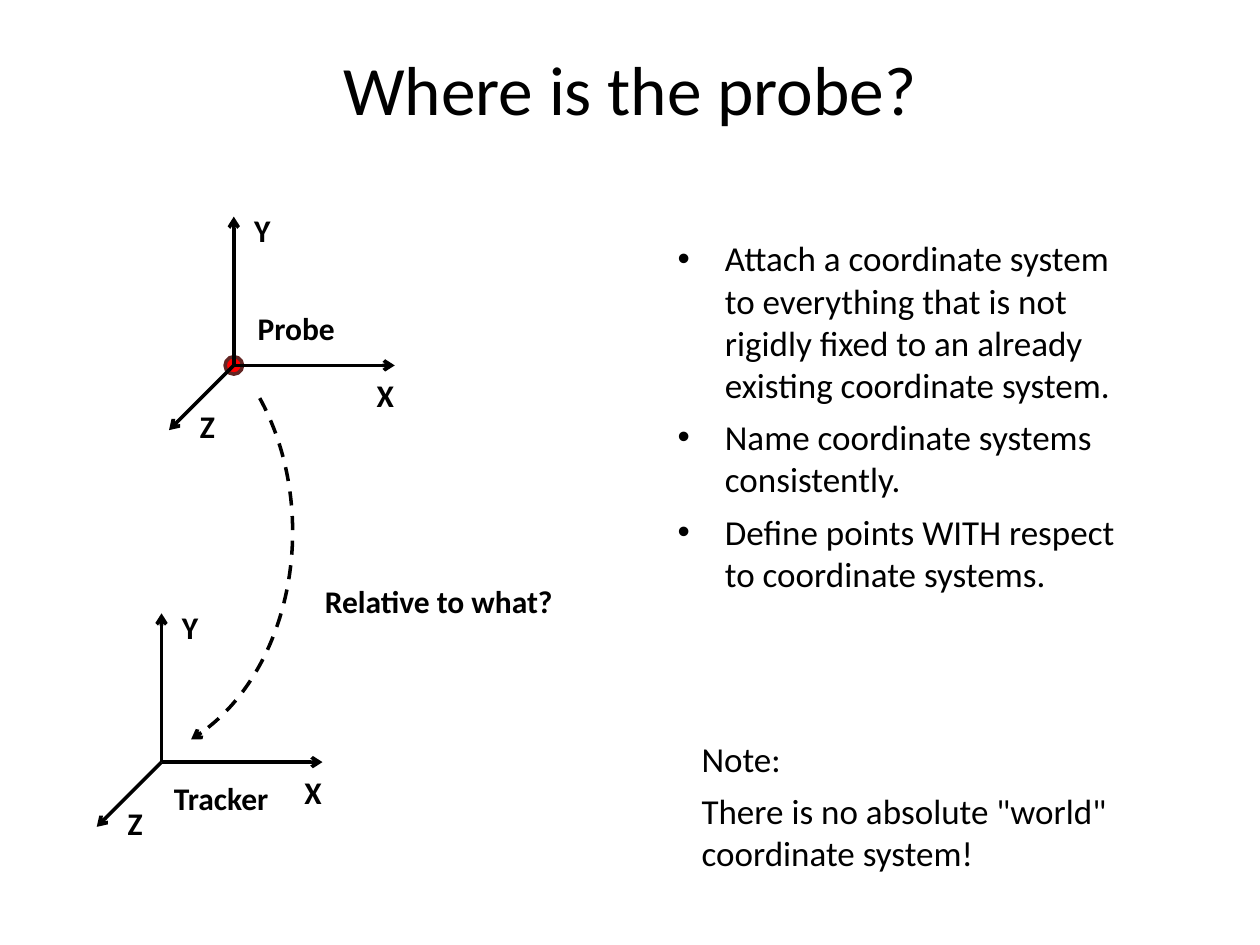
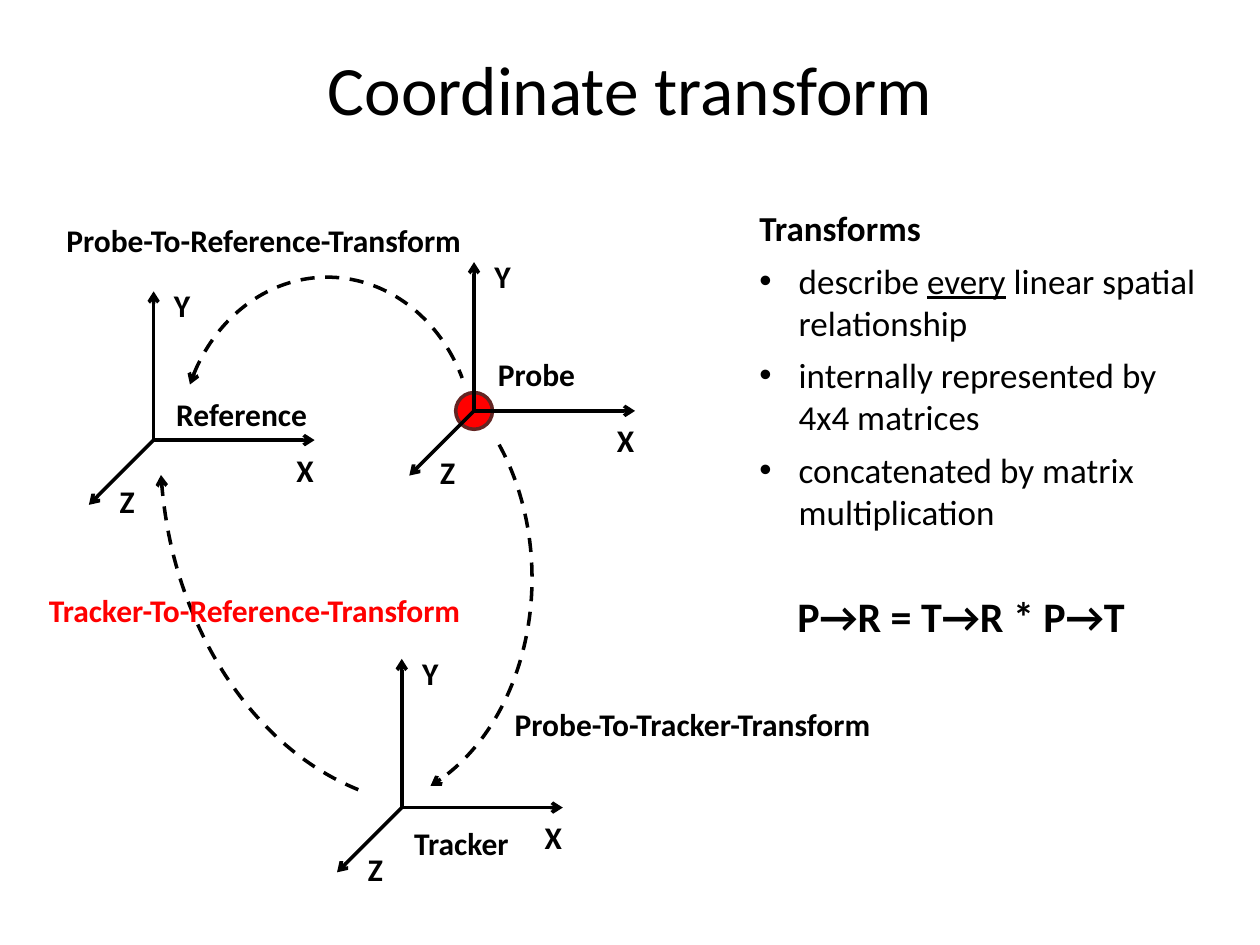
from dataclasses import dataclass

from lxml import etree
from pptx import Presentation
from pptx.dml.color import RGBColor
from pptx.enum.dml import MSO_LINE
from pptx.enum.shapes import MSO_CONNECTOR, MSO_SHAPE
from pptx.enum.text import MSO_ANCHOR, MSO_AUTO_SIZE, PP_ALIGN
from pptx.oxml.ns import qn
from pptx.util import Pt

DASH = MSO_LINE.DASH
STRAIGHT = MSO_CONNECTOR.STRAIGHT
ARC, OVAL = MSO_SHAPE.ARC, MSO_SHAPE.OVAL
MIDDLE, TOP = MSO_ANCHOR.MIDDLE, MSO_ANCHOR.TOP
NO_AUTOFIT = MSO_AUTO_SIZE.NONE
CENTER, LEFT = PP_ALIGN.CENTER, PP_ALIGN.LEFT
TITLE_AND_CONTENT = 1


@dataclass(frozen=True)
class Theme:
    font: str = "Calibri"
    ink: RGBColor = RGBColor(0x00, 0x00, 0x00)
    accent: RGBColor = RGBColor(0xFF, 0x00, 0x00)
    dot_outline: RGBColor = RGBColor(0x63, 0x25, 0x23)
    title_size: float = 39.6
    formula_size: float = 24
    body_size: float = 20
    label_size: float = 18
    line_width: float = 2
    paragraph_gap: float = 6


THEME = Theme()

# Axis name, arrow tip and label corner, all measured from the origin
AXES = [
    ("Y", (0, -85), (4.5, -91.5)),
    ("X", (92, 0), (74.5, 2.5)),
    ("Z", (-37, 37), (-26.5, 20.5)),
]
AXIS_LABEL_WIDTH = 24
PROBE_LABEL_OFFSET = (6.5, -35.5)
TRACKER_LABEL_OFFSET = (0, 6)
PROBE_LABEL_WIDTH, TRACKER_LABEL_WIDTH = 59, 69
PROBE_TO_TRACKER_ANGLES = (316.97, 70.31)


def points(*lengths):
    return [Pt(length) for length in lengths]


def shifted(origin, offset):
    return origin[0] + offset[0], origin[1] + offset[1]


def add_run(paragraph, text, size, color=THEME.ink, bold=False, underline=False):
    run = paragraph.add_run()
    run.text = text
    font = run.font
    font.name, font.size, font.bold = THEME.font, Pt(size), bold
    font.color.rgb = color
    if underline:
        font.underline = True


def set_bullet(paragraph, indent):
    """Hang a bullet by indent points, or clear the inherited one when indent is 0."""
    properties = paragraph._p.get_or_add_pPr()
    properties.set("marL", str(Pt(indent)))
    properties.set("indent", str(-Pt(indent)))
    if indent:
        etree.SubElement(properties, qn("a:buChar")).set("char", "•")
    else:
        etree.SubElement(properties, qn("a:buNone"))


def fill_paragraphs(frame, paragraphs):
    """Each paragraph is (bullet indent, runs); each run is (text, font options)."""
    frame.word_wrap = True
    frame.auto_size = NO_AUTOFIT
    frame.vertical_anchor = TOP
    for index, (indent, runs) in enumerate(paragraphs):
        paragraph = frame.add_paragraph() if index else frame.paragraphs[0]
        set_bullet(paragraph, indent)
        paragraph.alignment = LEFT
        paragraph.space_before = Pt(THEME.paragraph_gap if index else 0)
        for text, options in runs:
            add_run(paragraph, text, THEME.body_size, **options)


def place(placeholder, *box):
    (placeholder.left, placeholder.top,
     placeholder.width, placeholder.height) = points(*box)


def add_titled_slide(deck, title):
    slide = deck.slides.add_slide(deck.slide_layouts[TITLE_AND_CONTENT])
    heading = slide.shapes.title
    place(heading, 36, 21.6, 648, 57)
    frame = heading.text_frame
    frame.auto_size = NO_AUTOFIT
    frame.vertical_anchor = MIDDLE
    frame.paragraphs[0].alignment = CENTER
    add_run(frame.paragraphs[0], title, THEME.title_size)
    return slide


def add_body(slide, box, paragraphs):
    body = slide.placeholders[1]
    place(body, *box)
    fill_paragraphs(body.text_frame, paragraphs)


def add_label(shapes, text, corner, width, color=THEME.ink,
              size=THEME.label_size, height=29):
    label = shapes.add_textbox(*points(*corner, width, height))
    label.text_frame.word_wrap = False
    add_run(label.text_frame.paragraphs[0], text, size, color, bold=True)


def style_arrow(arrow, end, dashed=False):
    """Draw the line in ink with an open arrowhead at end (headEnd or tailEnd)."""
    arrow.line.color.rgb = THEME.ink
    arrow.line.width = Pt(THEME.line_width)
    if dashed:
        arrow.line.dash_style = DASH
    outline = arrow._element.spPr.find(qn("a:ln"))
    etree.SubElement(outline, qn(f"a:{end}")).set("type", "arrow")


def add_axes(slide, origin):
    axes = slide.shapes.add_group_shape().shapes
    for name, tip, label_corner in AXES:
        axis = axes.add_connector(STRAIGHT, *points(*origin, *shifted(origin, tip)))
        style_arrow(axis, "tailEnd")
        etree.SubElement(axis._element.spPr, qn("a:effectLst"))
        add_label(axes, name, shifted(origin, label_corner), AXIS_LABEL_WIDTH)


def add_dot(slide, center, diameter):
    corner = shifted(center, (-diameter / 2, -diameter / 2))
    dot = slide.shapes.add_shape(OVAL, *points(*corner, diameter, diameter))
    dot.shadow.inherit = False
    dot.fill.solid()
    dot.fill.fore_color.rgb = THEME.accent
    dot.line.color.rgb = THEME.dot_outline
    dot.line.width = Pt(THEME.line_width)


def add_probe(slide, origin, dot_diameter):
    add_dot(slide, origin, dot_diameter)
    add_axes(slide, origin)
    add_label(slide.shapes, "Probe", shifted(origin, PROBE_LABEL_OFFSET),
              PROBE_LABEL_WIDTH)


def add_tracker(slide, origin):
    add_axes(slide, origin)
    add_label(slide.shapes, "Tracker", shifted(origin, TRACKER_LABEL_OFFSET),
              TRACKER_LABEL_WIDTH)


def add_transform_arc(slide, box, angles, end="tailEnd"):
    """Draw a dashed arc of the ellipse in box, clockwise between angles in degrees."""
    arc = slide.shapes.add_shape(ARC, *points(*box))
    for index, angle in enumerate(angles):
        arc.adjustments[index] = angle * 0.6  # 60000 units a degree, stored per 100000
    arc.shadow.inherit = False
    arc.fill.background()
    style_arrow(arc, end, dashed=True)


def build_probe_slide(deck):
    slide = add_titled_slide(deck, "Where is the probe?")
    add_tracker(slide, (92.3, 435.5))
    add_probe(slide, (133.6, 208.8), 10)
    add_transform_arc(slide, (-33.8, 172.8, 201, 262), PROBE_TO_TRACKER_ANGLES)
    add_label(slide.shapes, "Relative to what?", (178.5, 329), 146)
    add_body(slide, (380, 131.8, 267, 213), [
        (27, [("Attach a coordinate system to everything that is not rigidly "
               "fixed to an already existing coordinate system.", {})]),
        (27, [("Name coordinate systems consistently.", {})]),
        (27, [("Define points WITH respect to coordinate systems.", {})]),
    ])
    note = slide.shapes.add_textbox(*points(393.8, 417.6, 267, 85.7))
    fill_paragraphs(note.text_frame, [
        (0, [("Note:", {})]),
        (0, [('There is no absolute "world" coordinate system!', {})]),
    ])


def build_transform_slide(deck):
    slide = add_titled_slide(deck, "Coordinate transform")
    add_axes(slide, (87.8, 251.5))
    add_label(slide.shapes, "Reference", (93.6, 222), 90)
    add_tracker(slide, (229.6, 461.5))
    add_probe(slide, (270.9, 234.8), 21)

    add_transform_arc(slide, (91.4, 46, 325, 415), (103.95, 173.67))
    add_transform_arc(slide, (103, 158.4, 168, 191), (203.52, 333.85), "headEnd")
    add_transform_arc(slide, (103, 199.4, 201, 262), PROBE_TO_TRACKER_ANGLES)
    add_label(slide.shapes, "Tracker-To-Reference-Transform", (20.8, 334), 254,
              THEME.accent)
    add_label(slide.shapes, "Probe-To-Reference-Transform", (30.8, 122.5), 244)
    add_label(slide.shapes, "Probe-To-Tracker-Transform", (287, 399.5), 223)

    add_body(slide, (426.7, 114.5, 267, 195), [
        (0, [("Transforms", {"bold": True})]),
        (22.5, [("describe ", {}), ("every", {"underline": True}),
                (" linear spatial relationship", {})]),
        (22.5, [("internally represented by 4x4 matrices", {})]),
        (22.5, [("concatenated by matrix multiplication", {})]),
    ])
    add_label(slide.shapes, "P→R = T→R * P→T", (448.5, 334), 203,
              size=THEME.formula_size, height=36)


def main():
    deck = Presentation()
    deck.slide_width, deck.slide_height = points(720, 540)
    build_probe_slide(deck)
    build_transform_slide(deck)
    deck.save("out.pptx")


if __name__ == "__main__":
    main()
